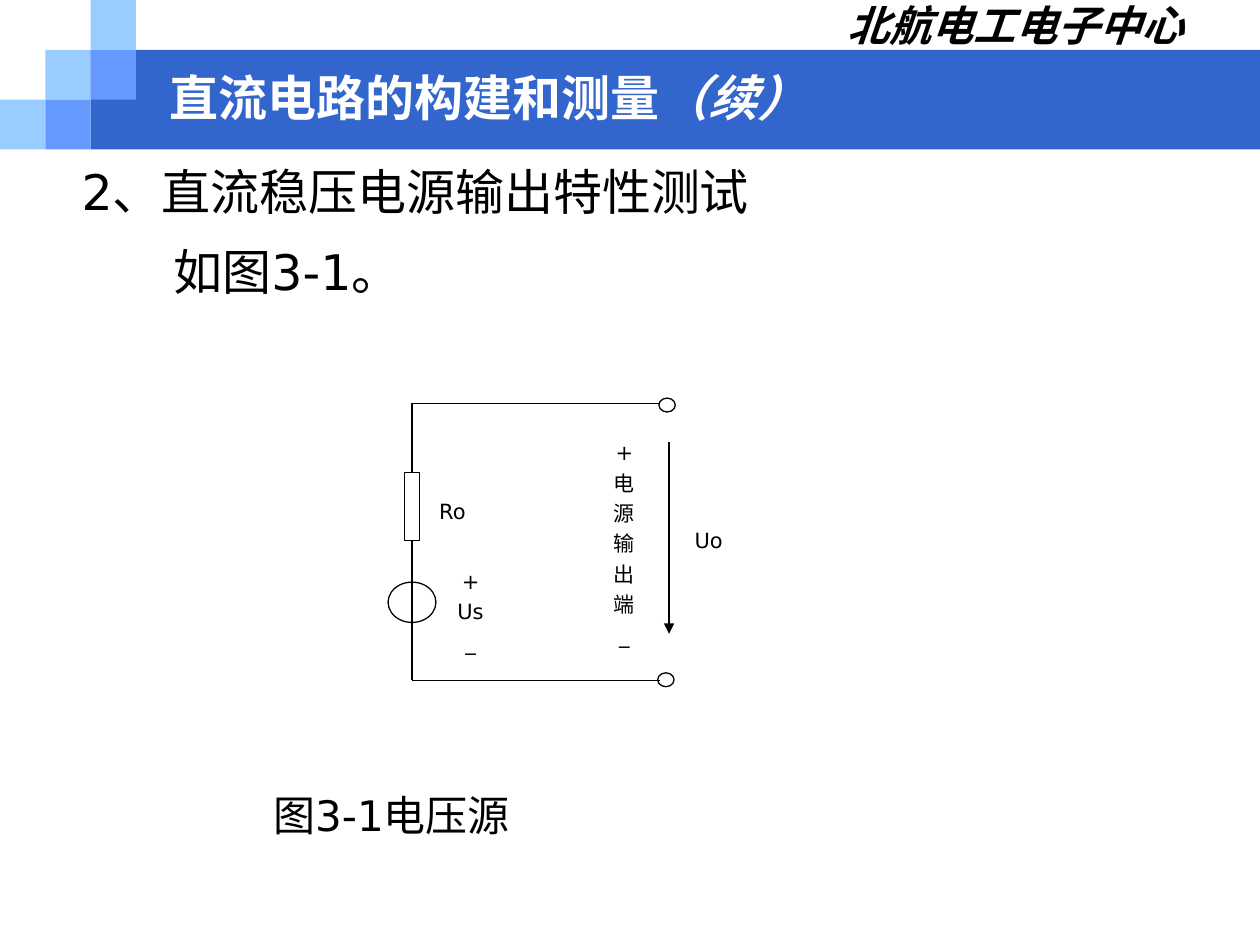
from dataclasses import dataclass

from lxml import etree
from pptx import Presentation
from pptx.dml.color import RGBColor
from pptx.enum.shapes import MSO_CONNECTOR, MSO_SHAPE
from pptx.enum.text import MSO_ANCHOR, PP_ALIGN
from pptx.oxml.ns import qn
from pptx.util import Inches, Pt

BLACK = RGBColor(0x00, 0x00, 0x00)
WHITE = RGBColor(0xFF, 0xFF, 0xFF)
BAND_BLUE = RGBColor(0x33, 0x66, 0xCC)
LIGHT_BLUE = RGBColor(0x99, 0xCC, 0xFF)
MID_BLUE = RGBColor(0x66, 0x99, 0xFF)

RECT, OVAL = MSO_SHAPE.RECTANGLE, MSO_SHAPE.OVAL
STRAIGHT = MSO_CONNECTOR.STRAIGHT
LEFT, CENTER, RIGHT = PP_ALIGN.LEFT, PP_ALIGN.CENTER, PP_ALIGN.RIGHT
MIDDLE = MSO_ANCHOR.MIDDLE

SANS, CJK, ARIAL = "DejaVu Sans", "Noto Sans CJK SC", "Arial"
LINE_WIDTH = Pt(0.75)
COL, ROW = 3.6, 5.27  # header mosaic cell, in percent of the slide

prs = Presentation()
prs.slide_width, prs.slide_height = Inches(10), Inches(7.5)
slide = prs.slides.add_slide(prs.slide_layouts[6])


def px(share: float) -> int:
    """Percent of the slide width as a length."""
    return round(prs.slide_width * share / 100)


def py(share: float) -> int:
    """Percent of the slide height as a length."""
    return round(prs.slide_height * share / 100)


@dataclass(frozen=True)
class Box:
    """A frame in percent of the slide's width and height."""
    x: float
    y: float
    w: float
    h: float

    def frame(self) -> tuple:
        return px(self.x), py(self.y), px(self.w), py(self.h)


@dataclass(frozen=True)
class Label:
    box: Box
    lines: tuple


@dataclass(frozen=True)
class Wire:
    x1: float
    y1: float
    x2: float
    y2: float


def set_font(font, name: str, size: float, color=BLACK, bold=False, italic=False) -> None:
    """Set one typeface for both Latin and East Asian text."""
    font.size, font.bold, font.italic = Pt(size), bold, italic
    font.color.rgb = color
    font.name = name
    ea = etree.Element(qn("a:ea"), typeface=name)
    font._rPr.find(qn("a:latin")).addnext(ea)


def draw_shape(kind, box: Box, fill: RGBColor, outlined=False):
    s = slide.shapes.add_shape(kind, *box.frame())
    s.shadow.inherit = False
    s.fill.solid()
    s.fill.fore_color.rgb = fill
    if outlined:
        s.line.color.rgb = BLACK
        s.line.width = LINE_WIDTH
    else:
        s.line.fill.background()
    return s


def write(tf, lines: tuple, size: float, align=LEFT, gap=0, **style) -> None:
    tf.word_wrap = True
    for i, line in enumerate(lines):
        p = tf.paragraphs[0] if i == 0 else tf.add_paragraph()
        p.add_run().text = line
        p.alignment = align
        if i:
            p.space_before = Pt(gap)
        set_font(p.font, SANS, size, **style)


def add_text(box: Box):
    return slide.shapes.add_textbox(*box.frame()).text_frame


def draw_label(label: Label) -> None:
    tf = draw_shape(RECT, label.box, WHITE).text_frame
    tf.vertical_anchor = MSO_ANCHOR.TOP
    write(tf, label.lines, 12, CENTER, gap=3)


def draw_wire(wire: Wire, arrow=False):
    c = slide.shapes.add_connector(
        STRAIGHT, px(wire.x1), py(wire.y1), px(wire.x2), py(wire.y2))
    c.line.color.rgb = BLACK
    c.line.width = LINE_WIDTH
    if arrow:
        etree.SubElement(c.line._get_or_add_ln(), qn("a:tailEnd"), type="triangle")
    etree.SubElement(c._element.spPr, qn("a:effectLst"))
    return c


def draw_header() -> None:
    draw_shape(RECT, Box(2 * COL, ROW, 100 - 2 * COL, 2 * ROW), BAND_BLUE)
    cells = {LIGHT_BLUE: ((0, 2), (1, 1), (2, 0)), MID_BLUE: ((2, 1), (1, 2))}
    for color, places in cells.items():
        for col, row in places:
            draw_shape(RECT, Box(col * COL, row * ROW, COL, ROW), color)

    write(add_text(Box(61, -0.67, 33.9, 3.47)), ("北航电工电子中心",), 24, RIGHT,
          bold=True, italic=True)

    tf = add_text(Box(12.5, 6.67, 80.8, 7.07))
    tf.word_wrap = True
    tf.vertical_anchor = MIDDLE
    for text, name, italic in (("直流电路的构建和测量", CJK, False), ("（续）", ARIAL, True)):
        r = tf.paragraphs[0].add_run()
        r.text = text
        set_font(r.font, name, 28, WHITE, bold=True, italic=italic)


def draw_body() -> None:
    tf = add_text(Box(5.5, 16.47, 85, 17))
    write(tf, ("2、直流稳压电源输出特性测试", "如图3-1。"), 28, gap=12)
    tf.paragraphs[1]._p.get_or_add_pPr().set("marL", str(Inches(0.73)))
    write(add_text(Box(20.7, 82.93, 40, 6.67)), ("图3-1电压源",), 24)


def draw_circuit() -> None:
    left, top, bottom, right = 32.7, 42.67, 72, 52.4
    resistor = draw_shape(RECT, Box(32.1, 50, 1.2, 7.2), WHITE, outlined=True)
    source = Box(30.8, 61.6, 3.8, 4.27)
    terminals = (Box(52.3, 42.13, 1.3, 1.47), Box(52.2, 71.2, 1.3, 1.47))
    for box in (source, *terminals):
        draw_shape(OVAL, box, WHITE, outlined=True)

    for label in (
        Label(Box(35, 59.47, 4.7, 11.47), ("+", "Us", "_")),
        Label(Box(33.5, 52.13, 4.8, 4.13), ("Ro",)),
        Label(Box(47.6, 45.87, 3.9, 22.93), ("+", "电", "源", "输", "出", "端", "_")),
        Label(Box(53.9, 55.2, 4.7, 4.13), ("Uo",)),
    ):
        draw_label(label)

    draw_wire(Wire(53.1, 46.8, 53.1, 67.07), arrow=True)
    draw_wire(Wire(left, top, left, 50)).end_connect(resistor, 0)
    draw_wire(Wire(left, top, right, top))
    draw_wire(Wire(left, 57.2, left, bottom)).begin_connect(resistor, 2)
    draw_wire(Wire(left, bottom, right, bottom))


def main() -> None:
    draw_header()
    draw_body()
    draw_circuit()
    prs.save("out.pptx")


if __name__ == "__main__":
    main()
